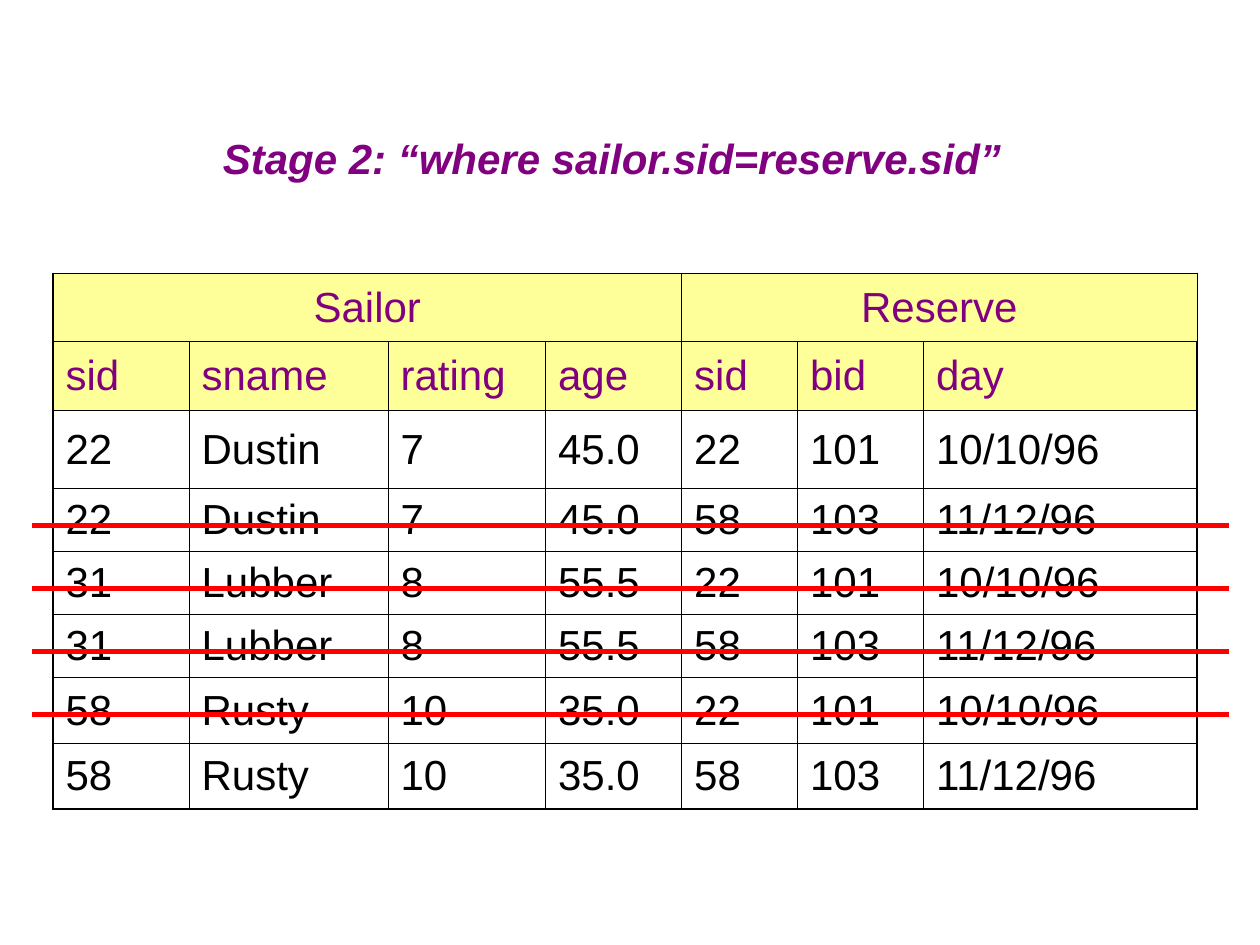
import dataclasses
import itertools

import lxml.etree
import pptx
import pptx.dml.color
import pptx.enum.shapes
import pptx.enum.text
import pptx.oxml.ns
import pptx.util

inch = pptx.util.Inches
ALIGN = pptx.enum.text.PP_ALIGN


@dataclasses.dataclass(frozen=True)
class Theme:
    """Colours, font and sizes in points."""
    font: str = "Arial"
    size: float = 24
    accent: str = "800080"
    ink: str = "000000"
    header: str = "FFFF99"
    strike: str = "FF0000"
    strike_width: float = 2.75
    outer: float = 1.08
    inner: float = 0.45


@dataclasses.dataclass(frozen=True)
class Relation:
    """A relation with its column names and tuples."""
    name: str
    columns: tuple[str, ...]
    rows: tuple[tuple[str, ...], ...]


THEME = Theme()
SAILOR = Relation("Sailor", ("sid", "sname", "rating", "age"), (
    ("22", "Dustin", "7", "45.0"),
    ("31", "Lubber", "8", "55.5"),
    ("58", "Rusty", "10", "35.0")))
RESERVE = Relation("Reserve", ("sid", "bid", "day"), (
    ("22", "101", "10/10/96"),
    ("58", "103", "11/12/96")))
LEFT, TOP = 0.42, 2.17
COL_WIDTHS = (1.08, 1.58, 1.25, 1.08, 0.92, 1, 2.17)
ROW_HEIGHTS = (0.54, 0.55, 0.62, 0.5, 0.5, 0.5, 0.52, 0.52)
STRIKE_TOP, STRIKE_STEP, STRIKE_COUNT = 4.17, 0.5, 4
STRIKE_MARGIN = 0.25


def rgb(color: str) -> pptx.dml.color.RGBColor:
    """Turn a hex string into a colour."""
    return pptx.dml.color.RGBColor.from_string(color)


def add_text(p, text: str, color: str, before: float,
             align=ALIGN.LEFT, emphasis: bool = False) -> None:
    """Add one styled run to a paragraph."""
    p.alignment = align
    p.space_before = pptx.util.Pt(before)
    r = p.add_run()
    r.text = text
    r.font.name = THEME.font
    r.font.size = pptx.util.Pt(THEME.size)
    r.font.bold = r.font.italic = emphasis
    r.font.color.rgb = rgb(color)


def set_border(cell, side: str, width: float) -> None:
    """Draw one side (L, R, T or B) of a cell."""
    qn = pptx.oxml.ns.qn
    ln = lxml.etree.SubElement(cell._tc.get_or_add_tcPr(), qn(f"a:ln{side}"),
                               w=str(int(pptx.util.Pt(width))))
    fill = lxml.etree.SubElement(ln, qn("a:solidFill"))
    lxml.etree.SubElement(fill, qn("a:srgbClr"), val=THEME.ink)


def add_product(s, left: Relation, right: Relation) -> None:
    """Add the table of the cross product of two relations."""
    body = [a + b for a, b in itertools.product(left.rows, right.rows)]
    split = len(left.columns)
    last_row, last_col = len(ROW_HEIGHTS) - 1, len(COL_WIDTHS) - 1
    names = [""] * len(COL_WIDTHS)
    names[0], names[split] = left.name, right.name
    grid = [names, left.columns + right.columns, *body]

    table = s.shapes.add_table(len(grid), len(COL_WIDTHS), inch(LEFT), inch(TOP),
                               inch(sum(COL_WIDTHS)), inch(sum(ROW_HEIGHTS))).table
    table.first_row = table.horz_banding = False
    for column, width in zip(table.columns, COL_WIDTHS):
        column.width = inch(width)
    for row, height in zip(table.rows, ROW_HEIGHTS):
        row.height = inch(height)
    table.cell(0, 0).merge(table.cell(0, split - 1))
    table.cell(0, split).merge(table.cell(0, last_col))

    for i, texts in enumerate(grid):
        for j, text in enumerate(texts):
            cell = table.cell(i, j)
            edges = {"L": j == 0, "R": j == last_col, "T": i == 0, "B": i == last_row}
            for side, is_outer in edges.items():
                set_border(cell, side, THEME.outer if is_outer else THEME.inner)
            if i < 2:
                cell.fill.solid()
                cell.fill.fore_color.rgb = rgb(THEME.header)
            else:
                cell.fill.background()
            cell.vertical_anchor = pptx.enum.text.MSO_ANCHOR.MIDDLE
            if text:
                add_text(cell.text_frame.paragraphs[0], text,
                         THEME.accent if i < 2 else THEME.ink, 6,
                         ALIGN.CENTER if i == 0 else ALIGN.LEFT)


def add_title(s, text: str) -> None:
    """Add the heading above the table."""
    tf = s.shapes.add_textbox(inch(1.67), inch(1), inch(7.08), inch(0.5)).text_frame
    tf.word_wrap = True
    tf.auto_size = pptx.enum.text.MSO_AUTO_SIZE.SHAPE_TO_FIT_TEXT
    add_text(tf.paragraphs[0], text, THEME.accent, 15, emphasis=True)


def add_strike(s, y: float, right: float) -> None:
    """Strike out a rejected row."""
    line = s.shapes.add_connector(pptx.enum.shapes.MSO_CONNECTOR.STRAIGHT,
                                  inch(STRIKE_MARGIN), inch(y), inch(right), inch(y))
    line.line.color.rgb = rgb(THEME.strike)
    line.line.width = pptx.util.Pt(THEME.strike_width)
    lxml.etree.SubElement(line._element.spPr, pptx.oxml.ns.qn("a:effectLst"))


def main() -> None:
    """Build and save the slide."""
    prs = pptx.Presentation()
    prs.slide_width, prs.slide_height = inch(10), inch(7.5)
    s = prs.slides.add_slide(prs.slide_layouts[6])
    add_product(s, SAILOR, RESERVE)
    add_title(s, "Stage 2: “where sailor.sid=reserve.sid”")
    for k in range(STRIKE_COUNT):
        add_strike(s, STRIKE_TOP + k * STRIKE_STEP, 10 - STRIKE_MARGIN)
    prs.save("out.pptx")


main()
